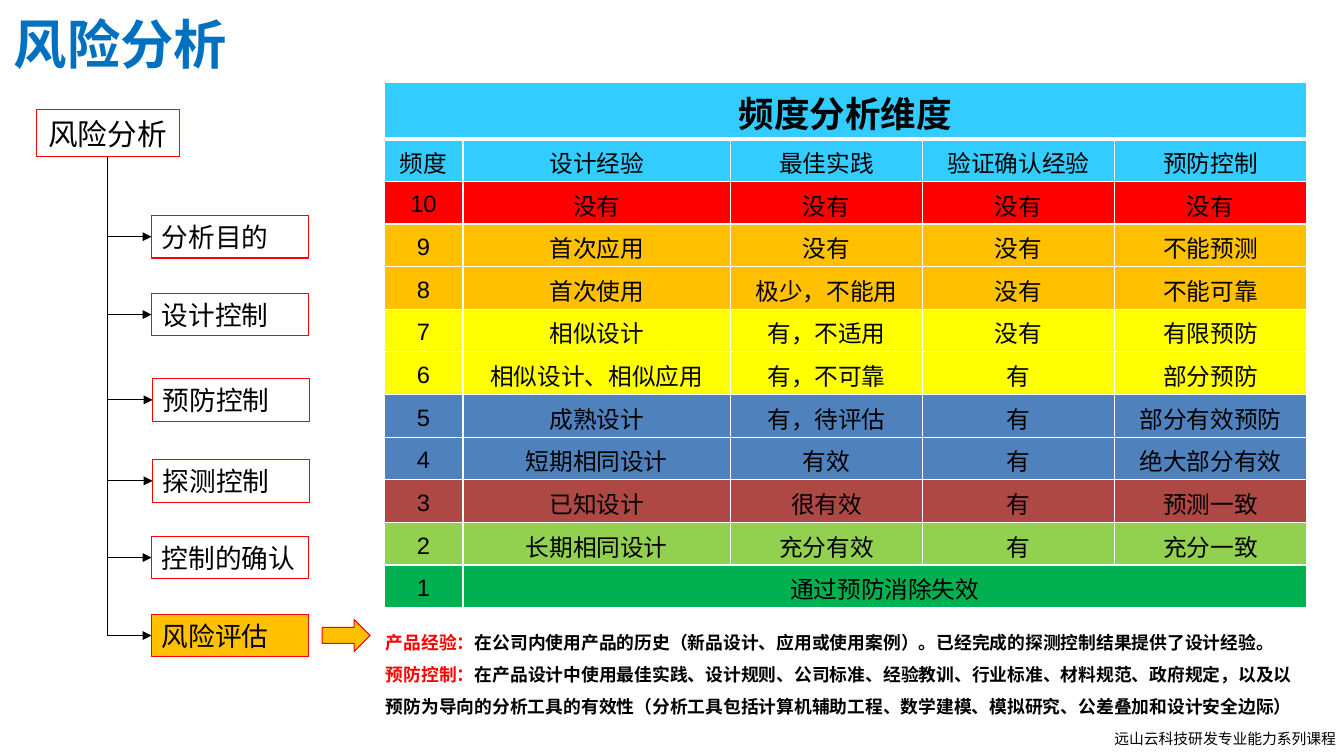
from lxml import etree
from pptx import Presentation
from pptx.dml.color import RGBColor
from pptx.enum.shapes import MSO_CONNECTOR, MSO_SHAPE
from pptx.enum.text import MSO_ANCHOR, MSO_AUTO_SIZE, PP_ALIGN
from pptx.oxml.ns import qn
from pptx.util import Inches, Pt

LEFT, CENTER = PP_ALIGN.LEFT, PP_ALIGN.CENTER
MIDDLE = MSO_ANCHOR.MIDDLE
NO_AUTOFIT = MSO_AUTO_SIZE.NONE
ELBOW = MSO_CONNECTOR.ELBOW
RECTANGLE, RIGHT_ARROW = MSO_SHAPE.RECTANGLE, MSO_SHAPE.RIGHT_ARROW
CJK, LATIN = "Noto Sans CJK SC", "Arial"
COLORS = {
    "black": "000000", "white": "FFFFFF", "title": "0070C0", "header": "33CCFF",
    "red": "FF0000", "orange": "FFC000", "yellow": "FFFF00", "blue": "4F81BD",
    "brown": "AE4845", "lime": "92D050", "green": "00B050",
}

# Content
TITLE = "风险分析"
FOOTER = "远山云科技研发专业能力系列课程"
ROOT = "风险分析"
STEPS = [  # label, left, top, fill
    ("分析目的", 1.42, 2.02, None),
    ("设计控制", 1.42, 2.75, None),
    ("预防控制", 1.43, 3.55, None),
    ("探测控制", 1.43, 4.31, None),
    ("控制的确认", 1.42, 5.03, None),
    ("风险评估", 1.42, 5.76, "orange"),
]
TABLE_TITLE = "频度分析维度"
ROWS = [  # fill, cells
    ("header", ["频度", "设计经验", "最佳实践", "验证确认经验", "预防控制"]),
    ("red", ["10", "没有", "没有", "没有", "没有"]),
    ("orange", ["9", "首次应用", "没有", "没有", "不能预测"]),
    ("orange", ["8", "首次使用", "极少，不能用", "没有", "不能可靠"]),
    ("yellow", ["7", "相似设计", "有，不适用", "没有", "有限预防"]),
    ("yellow", ["6", "相似设计、相似应用", "有，不可靠", "有", "部分预防"]),
    ("blue", ["5", "成熟设计", "有，待评估", "有", "部分有效预防"]),
    ("blue", ["4", "短期相同设计", "有效", "有", "绝大部分有效"]),
    ("brown", ["3", "已知设计", "很有效", "有", "预测一致"]),
    ("lime", ["2", "长期相同设计", "充分有效", "有", "充分一致"]),
    ("green", ["1", "通过预防消除失效"]),
]
COLUMN_WIDTHS = [0.74, 2.51, 1.8, 1.8, 1.8]
TITLE_ROW_HEIGHT, ROW_HEIGHT = 0.53, 0.4
NOTES = [
    ("产品经验：", "在公司内使用产品的历史（新品设计、应用或使用案例）。"
     "已经完成的探测控制结果提供了设计经验。"),
    ("预防控制：", "在产品设计中使用最佳实践、设计规则、公司标准、经验教训、行业标准、"
     "材料规范、政府规定，以及以预防为导向的分析工具的有效性"
     "（分析工具包括计算机辅助工程、数学建模、模拟研究、公差叠加和设计安全边际）"),
]


def rgb(name):
    return RGBColor.from_string(COLORS[name])


def style_paragraph(para, size, color="black", bold=False, align=LEFT, latin=CJK):
    para.alignment = align
    font = para.font
    font.size, font.bold, font.name = Pt(size), bold, latin
    font.color.rgb = rgb(color)
    east_asian = etree.Element(qn("a:ea"), typeface=CJK)
    font._element.find(qn("a:latin")).addnext(east_asian)


def add_outlined(page, kind, left, top, width, height, fill=None):
    shape = page.shapes.add_shape(
        kind, Inches(left), Inches(top), Inches(width), Inches(height))
    shape.shadow.inherit = False
    if fill:
        shape.fill.solid()
        shape.fill.fore_color.rgb = rgb(fill)
    else:
        shape.fill.background()
    shape.line.color.rgb = rgb("red")
    shape.line.width = Pt(0.75)
    return shape


def add_label_box(page, text, size, align, *place, fill=None):
    box = add_outlined(page, RECTANGLE, *place, fill=fill)
    box.text_frame.text = text
    style_paragraph(box.text_frame.paragraphs[0], size, align=align)
    return box


def add_branch(page, root, step):
    """Draw an arrow down from the root, then right into the step."""
    start_x, start_y = root.left + root.width // 2, root.top + root.height
    run, drop = step.left - start_x, step.top + step.height // 2 - start_y
    branch = page.shapes.add_connector(ELBOW, 0, 0, drop, run)
    branch.begin_connect(root, 2)
    branch.end_connect(step, 1)
    # The two-segment elbow is a turned and mirrored box
    branch.left, branch.top = start_x + (run - drop) // 2, start_y + (drop - run) // 2
    branch.width, branch.height = drop, run
    properties = branch._element.spPr
    transform = properties.find(qn("a:xfrm"))
    transform.set("rot", "16200000")
    transform.set("flipH", "1")
    properties.find(qn("a:prstGeom")).set("prst", "bentConnector2")
    branch.line.color.rgb = rgb("black")
    branch.line.width = Pt(0.75)
    etree.SubElement(branch.line._get_or_add_ln(), qn("a:tailEnd"), type="triangle")
    etree.SubElement(properties, qn("a:effectLst"))


def fill_cell(cell, text, fill, size, bold, thick_side):
    cell.text = text
    cell.vertical_anchor = MIDDLE
    cell.margin_top, cell.margin_bottom = Inches(0.04), 0
    style_paragraph(cell.text_frame.paragraphs[0], size, bold=bold,
                    align=CENTER, latin=LATIN)
    for side in ("lnL", "lnR", "lnT", "lnB"):
        width = Pt(3) if side == thick_side else Pt(1)
        border = etree.SubElement(cell._tc.get_or_add_tcPr(), qn("a:" + side), w=str(width))
        solid = etree.SubElement(border, qn("a:solidFill"))
        etree.SubElement(solid, qn("a:srgbClr"), val=COLORS["white"])
    cell.fill.solid()
    cell.fill.fore_color.rgb = rgb(fill)


def add_frequency_table(page):
    rows = [("header", [TABLE_TITLE])] + ROWS
    heights = [TITLE_ROW_HEIGHT] + [ROW_HEIGHT] * len(ROWS)
    table = page.shapes.add_table(
        len(rows), len(COLUMN_WIDTHS), Inches(3.6), Inches(0.77),
        Inches(sum(COLUMN_WIDTHS)), Inches(sum(heights))).table
    table.first_row = table.horz_banding = False
    for column, width in zip(table.columns, COLUMN_WIDTHS):
        column.width = Inches(width)
    last = len(COLUMN_WIDTHS) - 1
    for index, (fill, texts) in enumerate(rows):
        table.rows[index].height = Inches(heights[index])
        thick_side = {0: "lnB", 1: "lnT"}.get(index)
        for position in range(last + 1):
            text = texts[position] if position < len(texts) else ""
            fill_cell(table.cell(index, position), text, fill,
                      16 if index else 24, index == 0, thick_side)
        # A short row stretches its last cell to the right edge
        if len(texts) <= last:
            table.cell(index, len(texts) - 1).merge(table.cell(index, last))


def add_text_box(page, left, top, width, height, wrap):
    box = page.shapes.add_textbox(
        Inches(left), Inches(top), Inches(width), Inches(height))
    box.text_frame.word_wrap = wrap
    return box.text_frame


def main():
    deck = Presentation()
    deck.slide_width, deck.slide_height = Inches(12.6), Inches(7.09)
    page = deck.slides.add_slide(deck.slide_layouts[5])

    # Title and footer
    title = page.shapes.title
    title.left, title.top = Inches(0.03), Inches(0.05)
    title.width, title.height = Inches(4.96), Inches(0.71)
    title.text_frame.text = TITLE
    title.text_frame.auto_size = NO_AUTOFIT
    title.text_frame.vertical_anchor = MIDDLE
    style_paragraph(title.text_frame.paragraphs[0], 36, "title", bold=True)
    footer = add_text_box(page, 10.35, 6.79, 2.37, 0.27, wrap=False)
    footer.text = FOOTER
    style_paragraph(footer.paragraphs[0], 10)

    # Step tree
    root = add_label_box(page, ROOT, 20, CENTER, 0.34, 1.03, 1.34, 0.44)
    for label, left, top, fill in STEPS:
        step = add_label_box(page, label, 18, LEFT, left, top, 1.47, 0.4, fill=fill)
        add_branch(page, root, step)
    add_outlined(page, RIGHT_ARROW, 3.02, 5.81, 0.45, 0.3, fill="orange")

    # Table and explanations
    add_frequency_table(page)
    notes = add_text_box(page, 3.52, 5.78, 8.83, 0.97, wrap=True)
    for index, (term, meaning) in enumerate(NOTES):
        para = notes.add_paragraph() if index else notes.paragraphs[0]
        para.line_spacing = 1.5
        style_paragraph(para, 12, bold=True)
        for text, color in ((term, "red"), (meaning, "black")):
            span = para.add_run()
            span.text = text
            span.font.color.rgb = rgb(color)

    deck.save("out.pptx")


if __name__ == "__main__":
    main()
